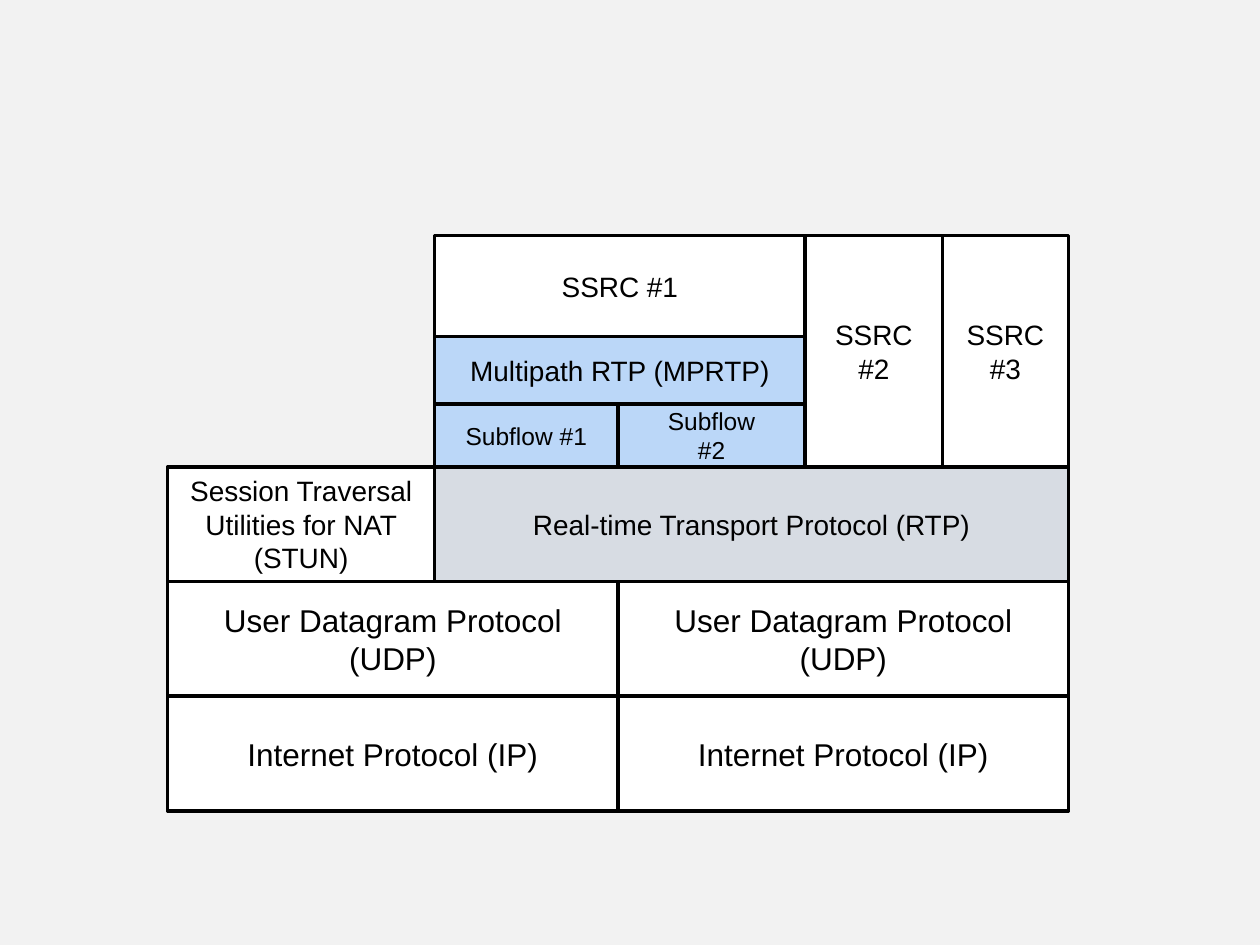
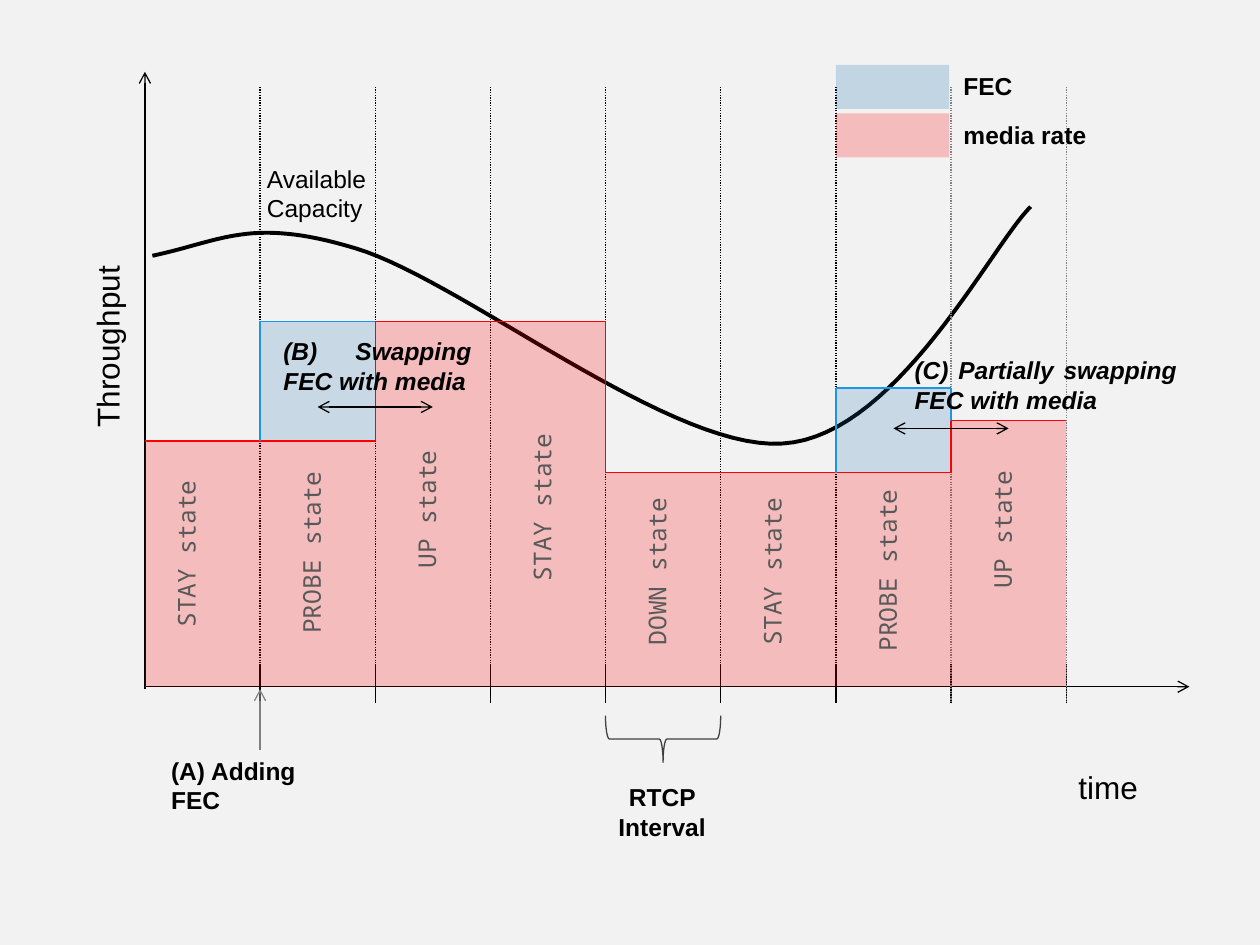
"""Two slides on multipath RTP: the protocol stack and FEC-based rate control."""
from dataclasses import dataclass

from lxml.etree import SubElement
from pptx import Presentation
from pptx.dml.color import RGBColor
from pptx.enum.dml import MSO_LINE
from pptx.enum.shapes import MSO_CONNECTOR, MSO_SHAPE as Preset
from pptx.enum.text import MSO_ANCHOR, MSO_AUTO_SIZE, PP_ALIGN as Align
from pptx.oxml.ns import qn
from pptx.util import Inches, Pt

# The slide is a grid of 100 columns and 75 rows.
COLUMNS, ROWS = 100, 75
UNIT = Inches(0.1)

BACKDROP = RGBColor(0xF2, 0xF2, 0xF2)
WHITE = RGBColor(0xFF, 0xFF, 0xFF)
BLACK = RGBColor(0, 0, 0)
RTP_GREY = RGBColor(0xD7, 0xDC, 0xE3)
MULTIPATH_BLUE = RGBColor(0xBB, 0xD7, 0xF8)
MEDIA_RED = RGBColor(0xFF, 0, 0)
FEC_BLUE = RGBColor(0x17, 0x72, 0xAD)
FEC_EDGE = RGBColor(0x1E, 0x95, 0xE2)
GUIDE_GREY = RGBColor(0x80, 0x80, 0x80)
BRACE_GREY = RGBColor(0x40, 0x40, 0x40)
STATE_GREY = RGBColor(0x59, 0x59, 0x59)
SANS, MONO = "Arial", "Noto Sans Mono"


@dataclass
class Layer:
    """A protocol block, spanning edges of the stack's own grid."""
    text: str
    left: int
    top: int
    right: int
    bottom: int
    size: int = 16
    fill: RGBColor = WHITE


@dataclass
class Area:
    """A translucent block between two times and two rows."""
    start: float
    end: float
    top: float
    bottom: float
    color: RGBColor = MEDIA_RED
    opacity: int = 22


@dataclass
class Edge:
    """A line between two (time, row) points."""
    start: tuple[float, float]
    end: tuple[float, float]
    color: RGBColor = MEDIA_RED


@dataclass
class Label:
    """A text box in grid units."""
    text: str
    left: float
    top: float
    width: float
    height: float
    size: int = 14
    font: str = SANS
    color: RGBColor = BLACK
    bold: bool = False
    italic: bool = False
    align: Align = Align.LEFT
    wrap: bool = True
    upward: bool = False


@dataclass
class State:
    """A controller state: its name, top row and inset in the interval."""
    name: str
    top: float
    inset: float = 2.4


def grid(*values: float) -> list[int]:
    """Turn grid units into slide lengths."""
    return [round(value * UNIT) for value in values]


def new_slide(deck):
    """Add a blank slide with the shared backdrop."""
    slide = deck.slides.add_slide(deck.slide_layouts[6])
    slide.background.fill.solid()
    slide.background.fill.fore_color.rgb = BACKDROP
    return slide


def write(paragraph, text: str, size: int, align=Align.CENTER, font: str = SANS,
          color: RGBColor = BLACK, bold: bool = False, italic: bool = False) -> None:
    """Add one styled run to a paragraph."""
    paragraph.alignment = align
    run = paragraph.add_run()
    run.text = text
    run.font.name, run.font.size = font, Pt(size)
    run.font.bold, run.font.italic = bold, italic
    run.font.color.rgb = color


def draw_box(slide, left: float, top: float, width: float, height: float,
             fill: RGBColor, opacity: int = 100):
    """Draw a flat rectangle without outline."""
    box = slide.shapes.add_shape(Preset.RECTANGLE, *grid(left, top, width, height))
    box.shadow.inherit = False
    box.fill.solid()
    box.fill.fore_color.rgb = fill
    box.line.fill.background()
    if opacity < 100:
        tint = box.element.spPr.find(".//" + qn("a:srgbClr"))
        SubElement(tint, qn("a:alpha"), val=str(opacity * 1000))
    return box


def draw_line(slide, start: tuple[float, float], end: tuple[float, float],
              color: RGBColor = BLACK, dotted: bool = False,
              arrows: tuple[str, ...] = ()) -> None:
    """Draw a thin line; arrows may name headEnd (start) and tailEnd (end)."""
    line = slide.shapes.add_connector(MSO_CONNECTOR.STRAIGHT, *grid(*start, *end))
    line.line.color.rgb = color
    line.line.width = Pt(0.75)
    if dotted:
        line.line.dash_style = MSO_LINE.ROUND_DOT
    properties = line.element.spPr
    for arrow in arrows:
        SubElement(properties.find(qn("a:ln")), qn(f"a:{arrow}"), type="arrow")
    SubElement(properties, qn("a:effectLst"))


def draw_label(slide, label: Label) -> None:
    """Draw a text box, running upward if asked."""
    box = slide.shapes.add_textbox(
        *grid(label.left, label.top, label.width, label.height))
    frame = box.text_frame
    frame.word_wrap = label.wrap
    frame.auto_size = MSO_AUTO_SIZE.SHAPE_TO_FIT_TEXT
    if label.upward:
        box.element.txBody.find(qn("a:bodyPr")).set("vert", "vert270")
    write(frame.paragraphs[0], label.text, label.size, label.align, label.font,
          label.color, label.bold, label.italic)


# Protocol stack
STACK_X = (13.3, 34.5, 49.05, 63.9, 74.8, 84.8)
STACK_Y = (18.7, 26.7, 32.05, 37.05, 46.15, 55.25, 64.35)
LAYERS = [
    Layer("Session Traversal Utilities for NAT (STUN)", 0, 3, 1, 4),
    Layer("Real-time Transport Protocol (RTP)", 1, 3, 5, 4, fill=RTP_GREY),
    Layer("Subflow #1", 1, 2, 2, 3, 14, MULTIPATH_BLUE),
    Layer("Subflow\n#2", 2, 2, 3, 3, 14, MULTIPATH_BLUE),
    Layer("Multipath RTP (MPRTP)", 1, 1, 3, 2, fill=MULTIPATH_BLUE),
    Layer("SSRC #1", 1, 0, 3, 1),
    Layer("SSRC #2", 3, 0, 4, 3),
    Layer("SSRC #3", 4, 0, 5, 3),
]
for path_left, path_right in ((0, 2), (2, 5)):
    LAYERS += [
        Layer("Internet Protocol (IP)", path_left, 5, path_right, 6, 18),
        Layer("User Datagram Protocol (UDP)", path_left, 4, path_right, 5, 18),
    ]


def draw_layer(slide, layer: Layer) -> None:
    """Draw one outlined block of the stack."""
    left, top = STACK_X[layer.left], STACK_Y[layer.top]
    box = draw_box(slide, left, top, STACK_X[layer.right] - left,
                   STACK_Y[layer.bottom] - top, layer.fill)
    box.line.color.rgb = BLACK
    box.line.width = Pt(2)
    frame = box.text_frame
    frame.word_wrap = True
    frame.vertical_anchor = MSO_ANCHOR.MIDDLE
    for index, text in enumerate(layer.text.split("\n")):
        write(frame.add_paragraph() if index else frame.paragraphs[0],
              text, layer.size)


# Throughput over time, measured in RTCP intervals
ORIGIN, INTERVAL, BASELINE = 11.5, 9.14, 54.5
START_RATE, PEAK_RATE, LOW_RATE = 35, 25.5, 37.5
PARTIAL_RATE, PROBE_RATE = 33.4, 30.8
AREAS = [
    Area(0, 4, START_RATE, BASELINE),
    Area(2, 4, PEAK_RATE, START_RATE),
    Area(4, 8, LOW_RATE, BASELINE),
    Area(1, 2, PEAK_RATE, START_RATE, FEC_BLUE, 19),
    Area(6, 7, PROBE_RATE, LOW_RATE, FEC_BLUE, 19),
    Area(7, 8, PARTIAL_RATE, LOW_RATE),
]
EDGES = [
    Edge((0, START_RATE), (2, START_RATE)),
    Edge((2, PEAK_RATE), (4, PEAK_RATE)),
    Edge((4, LOW_RATE), (7, LOW_RATE)),
    Edge((4, PEAK_RATE), (4, LOW_RATE)),
    Edge((2, PEAK_RATE), (2, START_RATE)),
    Edge((1, PEAK_RATE), (1, START_RATE), FEC_EDGE),
    Edge((6, PROBE_RATE), (6, LOW_RATE), FEC_EDGE),
    Edge((1, PEAK_RATE), (2, PEAK_RATE), FEC_EDGE),
    Edge((6, PROBE_RATE), (7, PROBE_RATE), FEC_EDGE),
    Edge((7, PROBE_RATE), (7, PARTIAL_RATE), FEC_EDGE),
    Edge((7, PARTIAL_RATE), (7, LOW_RATE)),
    Edge((7, PARTIAL_RATE), (8, PARTIAL_RATE)),
]
STATES = [
    State("STAY", 38, 1.6), State("PROBE", 37.3), State("UP", 35.7),
    State("STAY", 34.3), State("DOWN", 39.4), State("STAY", 39.4),
    State("PROBE", 38.7), State("UP", 37.3),
]
# Each curve piece has a start, two control points and an end.
CAPACITY = [
    ((12.1, 20.3), (17.7, 19.1), (19.9, 17.2), (28.2, 19.7)),
    ((28.2, 19.7), (36.6, 22.2), (53.2, 35.8), (62.1, 35.2)),
    ((62.1, 35.2), (71.1, 34.7), (78.6, 19.6), (81.8, 16.4)),
]
CURVE_STEPS = 30
LABELS = [
    Label("RTCP Interval", 48, 61.6, 9.1, 5.7, bold=True, align=Align.CENTER),
    Label("time", 84.6, 60.5, 7.3, 4, 18, wrap=False),
    Label("Throughput", 6.5, 19.9, 5, 15, 18, wrap=False, upward=True),
    Label("(A) Adding FEC", 12.6, 59.5, 14, 5.7, bold=True),
    Label("(B) Swapping FEC with media", 21.5, 26.2, 16.9, 5.7,
          bold=True, italic=True, align=Align.JUSTIFY),
    Label("(C) Partially swapping FEC with media", 71.6, 27.7, 22.8, 5.7,
          bold=True, italic=True, align=Align.JUSTIFY),
    Label("Available Capacity", 20.2, 12.5, 11.4, 5.7),
]


def at_time(intervals: float) -> float:
    """Give the column of a time counted in RTCP intervals."""
    return ORIGIN + intervals * INTERVAL


def bezier(points, share: float) -> tuple[int, int]:
    """Find the slide position at a share of a cubic curve."""
    rest = 1 - share
    weights = (rest ** 3, 3 * rest ** 2 * share, 3 * rest * share ** 2, share ** 3)
    x, y = (sum(w * value for w, value in zip(weights, axis)) for axis in zip(*points))
    return tuple(grid(x, y))


def draw_capacity(slide) -> None:
    """Draw the available capacity as a smooth open line."""
    builder = slide.shapes.build_freeform(*grid(*CAPACITY[0][0]))
    builder.add_line_segments(
        [bezier(piece, step / CURVE_STEPS)
         for piece in CAPACITY for step in range(1, CURVE_STEPS + 1)], close=False)
    curve = builder.convert_to_shape()
    curve.shadow.inherit = False
    curve.fill.background()
    curve.line.color.rgb = BLACK
    curve.line.width = Pt(2.25)


def draw_time_grid(slide) -> None:
    """Draw the axes, interval ticks, guides and the interval brace."""
    draw_line(slide, (ORIGIN, 5.7), (ORIGIN, 54.7), arrows=("headEnd",))
    draw_line(slide, (94.4, BASELINE), (ORIGIN, BASELINE), arrows=("headEnd",))
    draw_capacity(slide)
    for interval in range(1, 9):
        x = at_time(interval)
        draw_line(slide, (x, 52.7), (x, 55.8))
        draw_line(slide, (x, 6.9), (x, 55.8),
                  GUIDE_GREY if interval > 6 else BLACK, dotted=True)
    depth = 3.7
    brace = slide.shapes.add_shape(Preset.LEFT_BRACE, *grid(
        at_time(4.5) - depth / 2, 58.65 - INTERVAL / 2, depth, INTERVAL))
    brace.rotation = 270
    brace.shadow.inherit = False
    brace.fill.background()
    brace.line.color.rgb = BRACE_GREY
    brace.line.width = Pt(0.75)


def draw_rates(slide) -> None:
    """Draw media and FEC areas, their edges and the legend."""
    for area in AREAS:
        draw_box(slide, at_time(area.start), area.top,
                 (area.end - area.start) * INTERVAL, area.bottom - area.top,
                 area.color, area.opacity)
    for edge in EDGES:
        draw_line(slide, (at_time(edge.start[0]), edge.start[1]),
                  (at_time(edge.end[0]), edge.end[1]), edge.color)
    for name, top, width, color in (("FEC", 5.15, 5.9, FEC_BLUE),
                                    ("media rate", 9, 12.2, MEDIA_RED)):
        draw_box(slide, at_time(6), top, 9, 3.5, color, 22)
        draw_label(slide, Label(name, at_time(7), top, width, 3.4, bold=True, wrap=False))


def draw_annotations(slide) -> None:
    """Draw state names, arrows and all remaining labels."""
    for interval, state in enumerate(STATES):
        text = f"{state.name} state"
        draw_label(slide, Label(text, at_time(interval) + state.inset, state.top,
                                4.4, 1.2 * len(text) + 0.8, font=MONO,
                                color=STATE_GREY, wrap=False, upward=True))
    draw_line(slide, (at_time(1), 59.5), (at_time(1), 54.7), GUIDE_GREY, arrows=("tailEnd",))
    for start, row in ((1.5, 32.3), (6.5, 34)):
        draw_line(slide, (at_time(start), row), (at_time(start + 1), row),
                  arrows=("headEnd", "tailEnd"))
    for label in LABELS:
        draw_label(slide, label)


deck = Presentation()
deck.slide_width, deck.slide_height = COLUMNS * UNIT, ROWS * UNIT
stack_slide = new_slide(deck)
for stack_layer in LAYERS:
    draw_layer(stack_slide, stack_layer)
rate_slide = new_slide(deck)
draw_time_grid(rate_slide)
draw_rates(rate_slide)
draw_annotations(rate_slide)
deck.save("out.pptx")
